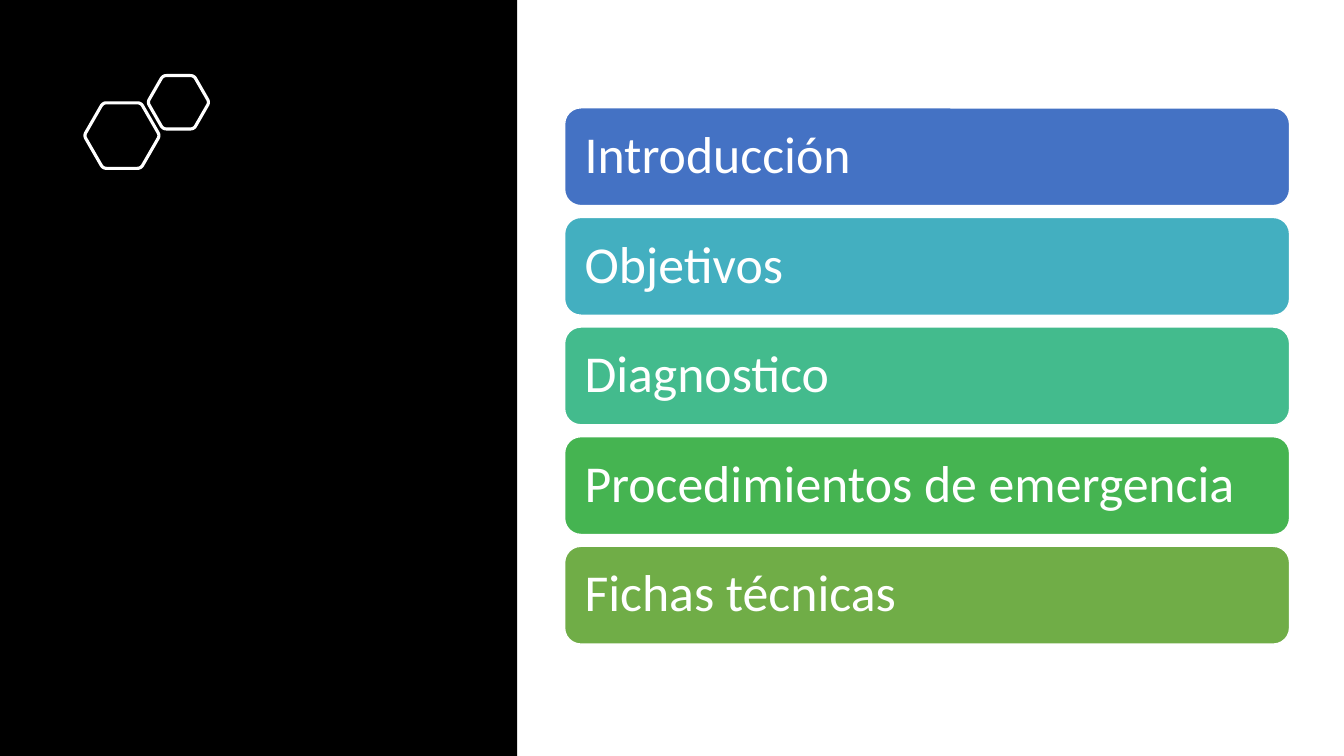
from math import cos, pi, sin, sqrt

from pptx import Presentation
from pptx.dml.color import RGBColor
from pptx.enum.shapes import MSO_SHAPE
from pptx.enum.text import MSO_ANCHOR, PP_ALIGN
from pptx.util import Inches, Pt

RECTANGLE, ROUNDED = MSO_SHAPE.RECTANGLE, MSO_SHAPE.ROUNDED_RECTANGLE
MIDDLE, LEFT = MSO_ANCHOR.MIDDLE, PP_ALIGN.LEFT

# Content
TOPICS = [
    ("Introducción", "4472C4"),
    ("Objetivos", "43AFC0"),
    ("Diagnostico", "43BB8D"),
    ("Procedimientos de emergencia", "45B451"),
    ("Fichas técnicas", "70AD47"),
]
# Hexagons: centre x, centre y, height
HEXAGONS = [(1.21, 1.345, 0.65), (1.77, 1.015, 0.53)]

THEME = {
    "font": "Calibri",
    "topic_size": Pt(37),
    "panel": RGBColor.from_string("000000"),
    "light": RGBColor.from_string("FFFFFF"),
    "hexagon_line": Pt(2.25),
    "bar_line": Pt(1),
}

# Layout in inches
SLIDE_W, SLIDE_H = 13.33, 7.5
PANEL_W = 5.13
BAR_LEFT, BAR_TOP, BAR_W, BAR_H = 5.6, 1.07, 7.19, 0.97
BAR_PITCH = 1.0875
BAR_INSET = Inches(0.15)
CORNER_CUT = 0.035
CORNER_STEPS = 6


def rounded_hexagon(center_x, center_y, height):
    """Outline points of a flat-topped hexagon with softened corners."""
    radius = height / sqrt(3)
    corners = [(center_x + radius * cos(k * pi / 3),
                center_y + radius * sin(k * pi / 3)) for k in range(6)]
    cut = CORNER_CUT / radius
    outline = []
    for k, corner in enumerate(corners):
        before, after = corners[k - 1], corners[(k + 1) % 6]
        for step in range(CORNER_STEPS + 1):
            t = step / CORNER_STEPS
            outline.append(tuple(
                Inches(c + cut * ((1 - t) ** 2 * (b - c) + t ** 2 * (a - c)))
                for b, c, a in zip(before, corner, after)))
    return outline


def add_hexagon(shapes, center_x, center_y, height):
    start, *rest = rounded_hexagon(center_x, center_y, height)
    builder = shapes.build_freeform(*start)
    builder.add_line_segments(rest, close=True)
    hexagon = builder.convert_to_shape()
    hexagon.shadow.inherit = False
    hexagon.fill.background()
    hexagon.line.color.rgb = THEME["light"]
    hexagon.line.width = THEME["hexagon_line"]


def add_topic(shapes, row, topic, color):
    bar = shapes.add_shape(
        ROUNDED, Inches(BAR_LEFT), Inches(BAR_TOP + row * BAR_PITCH),
        Inches(BAR_W), Inches(BAR_H))
    bar.shadow.inherit = False
    bar.fill.solid()
    bar.fill.fore_color.rgb = RGBColor.from_string(color)
    bar.line.color.rgb = THEME["light"]
    bar.line.width = THEME["bar_line"]

    frame = bar.text_frame
    frame.word_wrap = True
    frame.vertical_anchor = MIDDLE
    frame.margin_left = frame.margin_right = BAR_INSET
    frame.margin_top = frame.margin_bottom = BAR_INSET
    line = frame.paragraphs[0]
    line.alignment = LEFT
    line.line_spacing = 0.9
    label = line.add_run()
    label.text = topic
    label.font.name = THEME["font"]
    label.font.size = THEME["topic_size"]
    label.font.color.rgb = THEME["light"]


def main():
    deck = Presentation()
    deck.slide_width, deck.slide_height = Inches(SLIDE_W), Inches(SLIDE_H)
    slide = deck.slides.add_slide(deck.slide_layouts[6])

    # Dark side panel
    panel = slide.shapes.add_shape(
        RECTANGLE, 0, 0, Inches(PANEL_W), Inches(SLIDE_H))
    panel.shadow.inherit = False
    panel.fill.solid()
    panel.fill.fore_color.rgb = THEME["panel"]
    panel.line.fill.background()

    # Hexagon ornament
    ornament = slide.shapes.add_group_shape()
    for hexagon in HEXAGONS:
        add_hexagon(ornament.shapes, *hexagon)

    # Topic list
    agenda = slide.shapes.add_group_shape()
    for row, (topic, color) in enumerate(TOPICS):
        add_topic(agenda.shapes, row, topic, color)

    deck.save("out.pptx")


if __name__ == "__main__":
    main()
